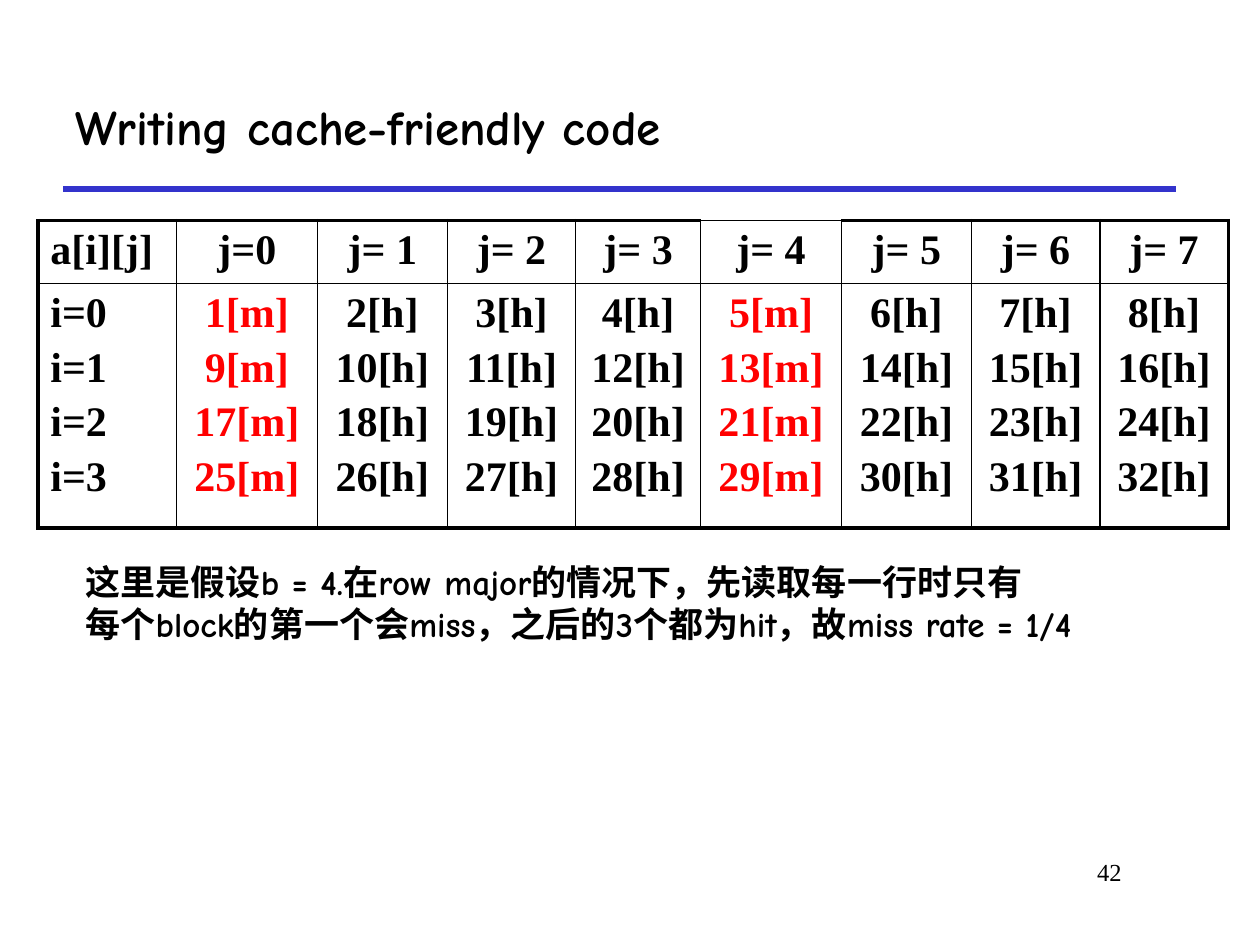
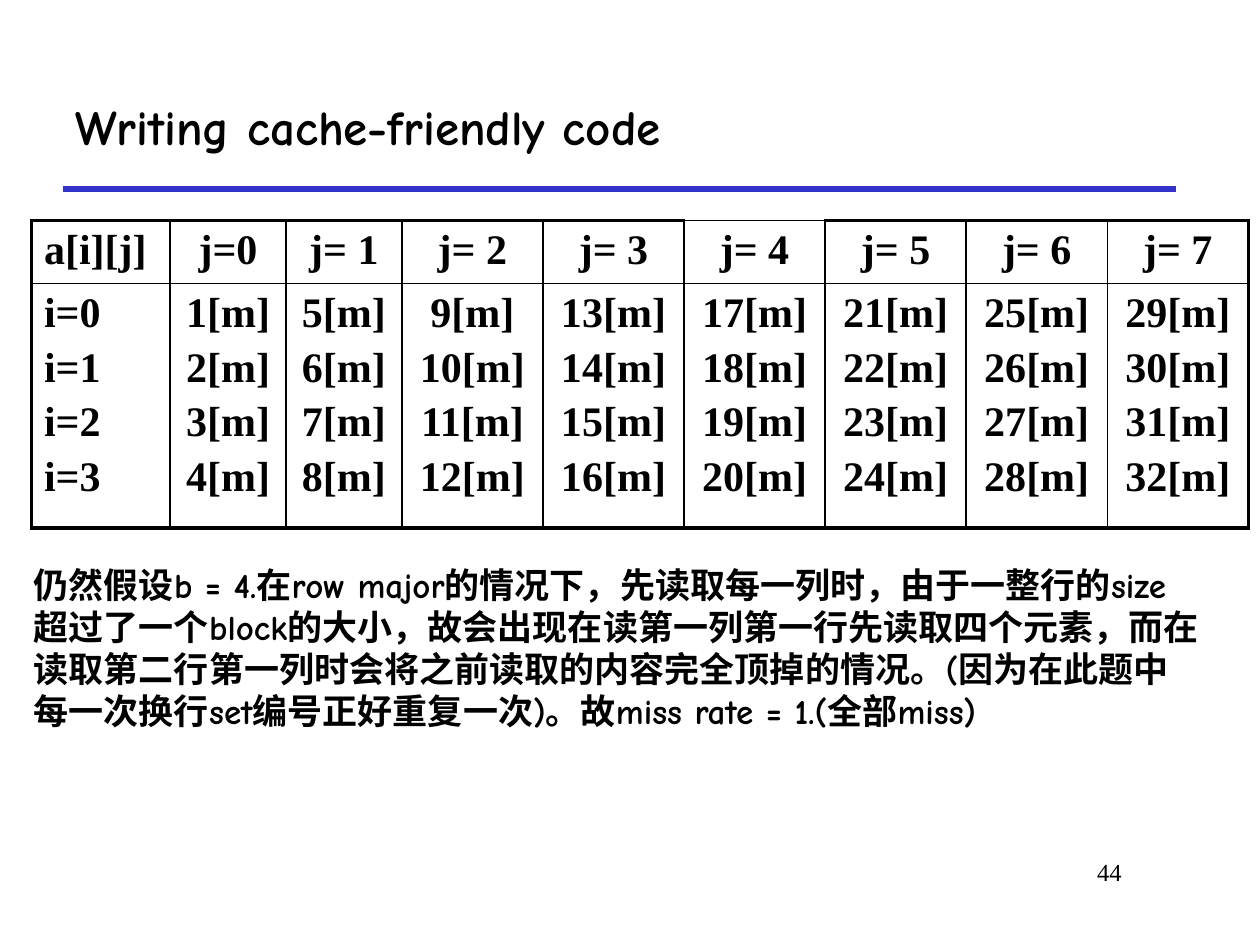
"""Build two slides on row-wise and column-wise cache misses."""
from lxml import etree
from pptx import Presentation
from pptx import util as u
from pptx.dml.color import RGBColor
from pptx.enum import shapes, text
from pptx.oxml.ns import qn

THEME = {
    "ink": RGBColor.from_string("000000"),
    "miss": RGBColor.from_string("FF0000"),
    "rule": RGBColor.from_string("3333CC"),
    "title": {"name": "Comic Neue", "size": u.Pt(28), "bold": True},
    "note": {"name": "Comic Neue", "size": u.Pt(20), "bold": True},
    "cell": {"name": "Times New Roman", "size": u.Pt(24), "bold": True},
    "number": {"name": "Times New Roman", "size": u.Pt(14), "bold": False},
    "thin": u.Pt(1),
    "thick": u.Pt(2.25),
    "gap": u.Pt(4.8),
}
LEFT, CENTER, RIGHT = text.PP_ALIGN.LEFT, text.PP_ALIGN.CENTER, text.PP_ALIGN.RIGHT
ROWS, COLS, BLOCK = 4, 8, 4

SLIDES = [
    {
        "number": "42",
        "table_left": 0.3,
        "widths": [1.1, 1.12, 1.03, 1.02, 0.99, 1.12, 1.03, 1.02, 1.02],
        "by_row": True,
        "note_at": (0.58, 4.4, 8.55, 0.77),
        "note": [
            "这里是假设b = 4.在row major的情况下，先读取每一行时只有",
            "每个block的第一个会miss，之后的3个都为hit，故miss rate = 1/4",
        ],
    },
    {
        "number": "44",
        "table_left": 0.25,
        "widths": [1.1, 0.92, 0.92] + [1.12] * 6,
        "by_row": False,
        "note_at": (0.17, 4.42, 9.63, 1.45),
        "note": [
            "仍然假设b = 4.在row major的情况下，先读取每一列时，由于一整行的size",
            "超过了一个block的大小，故会出现在读第一列第一行先读取四个元素，而在",
            "读取第二行第一列时会将之前读取的内容完全顶掉的情况。(因为在此题中",
            "每一次换行set编号正好重复一次)。故miss rate = 1.(全部miss)",
        ],
    },
]


def write(tf, lines, style, align=LEFT, color=THEME["ink"], gap=0):
    tf.word_wrap = True
    for n, line in enumerate(lines):
        p = tf.paragraphs[0] if n == 0 else tf.add_paragraph()
        p.alignment = align
        if n and gap:
            p.space_before = gap
        r = p.add_run()
        r.text = line
        for key, value in THEME[style].items():
            setattr(r.font, key, value)
        r.font.color.rgb = color


def set_borders(cell, widths):
    tcPr = cell._tc.get_or_add_tcPr()
    for n, (side, width) in enumerate(widths.items()):
        ln = etree.Element(qn("a:ln" + side), w=str(width))
        fill = etree.SubElement(ln, qn("a:solidFill"))
        etree.SubElement(fill, qn("a:srgbClr"), val=str(THEME["ink"]))
        tcPr.insert(n, ln)


prs = Presentation()
prs.slide_width, prs.slide_height = u.Inches(10), u.Inches(7.5)

for spec_of_slide in SLIDES:
    s = prs.slides.add_slide(prs.slide_layouts[6])

    rule = s.shapes.add_connector(
        shapes.MSO_CONNECTOR.STRAIGHT, *map(u.Inches, (0.5, 1.5, 9.33, 1.5)))
    rule.line.color.rgb = THEME["rule"]
    rule.line.width = u.Pt(3)
    etree.SubElement(rule._element.spPr, qn("a:effectLst"))

    for box, lines, style, align, anchor in [
        ((0.5, 0.5, 8.83, 1), ["Writing cache-friendly code"], "title", LEFT, "MIDDLE"),
        ((7.58, 6.75, 1.42, 0.5), [spec_of_slide["number"]], "number", RIGHT, "TOP"),
        (spec_of_slide["note_at"], spec_of_slide["note"], "note", LEFT, "TOP"),
    ]:
        sp = s.shapes.add_textbox(*map(u.Inches, box))
        sp.text_frame.vertical_anchor = text.MSO_ANCHOR[anchor]
        write(sp.text_frame, lines, style, align)

    widths = spec_of_slide["widths"]
    table = s.shapes.add_table(
        2, COLS + 1, u.Inches(spec_of_slide["table_left"]), u.Inches(1.75),
        u.Inches(sum(widths)), u.Inches(2.44)).table
    table.first_row = table.horz_banding = False
    table.rows[0].height, table.rows[1].height = u.Inches(0.5), u.Inches(1.94)

    for c, width in enumerate(widths):
        table.columns[c].width = u.Inches(width)
        j = c - 1
        color = THEME["ink"]
        if c == 0:
            head, body = "a[i][j]", [f"i={i}" for i in range(ROWS)]
        else:
            head = f"j= {j}" if j else "j=0"
            if spec_of_slide["by_row"]:
                miss = j % BLOCK == 0
                mark = "m" if miss else "h"
                body = [f"{COLS * i + j + 1}[{mark}]" for i in range(ROWS)]
                color = THEME["miss"] if miss else THEME["ink"]
            else:
                body = [f"{ROWS * j + i + 1}[m]" for i in range(ROWS)]

        align = CENTER if c else LEFT
        for row, (lines, ink) in enumerate([([head], THEME["ink"]), (body, color)]):
            cell = table.cell(row, c)
            cell.fill.background()
            write(cell.text_frame, lines, "cell", align, ink, THEME["gap"])
            outer = {"L": c == 0, "R": c == COLS,
                     "T": row == 0 and j != 4, "B": row == 1}
            set_borders(cell, {side: THEME["thick" if on else "thin"]
                               for side, on in outer.items()})

prs.save("out.pptx")
